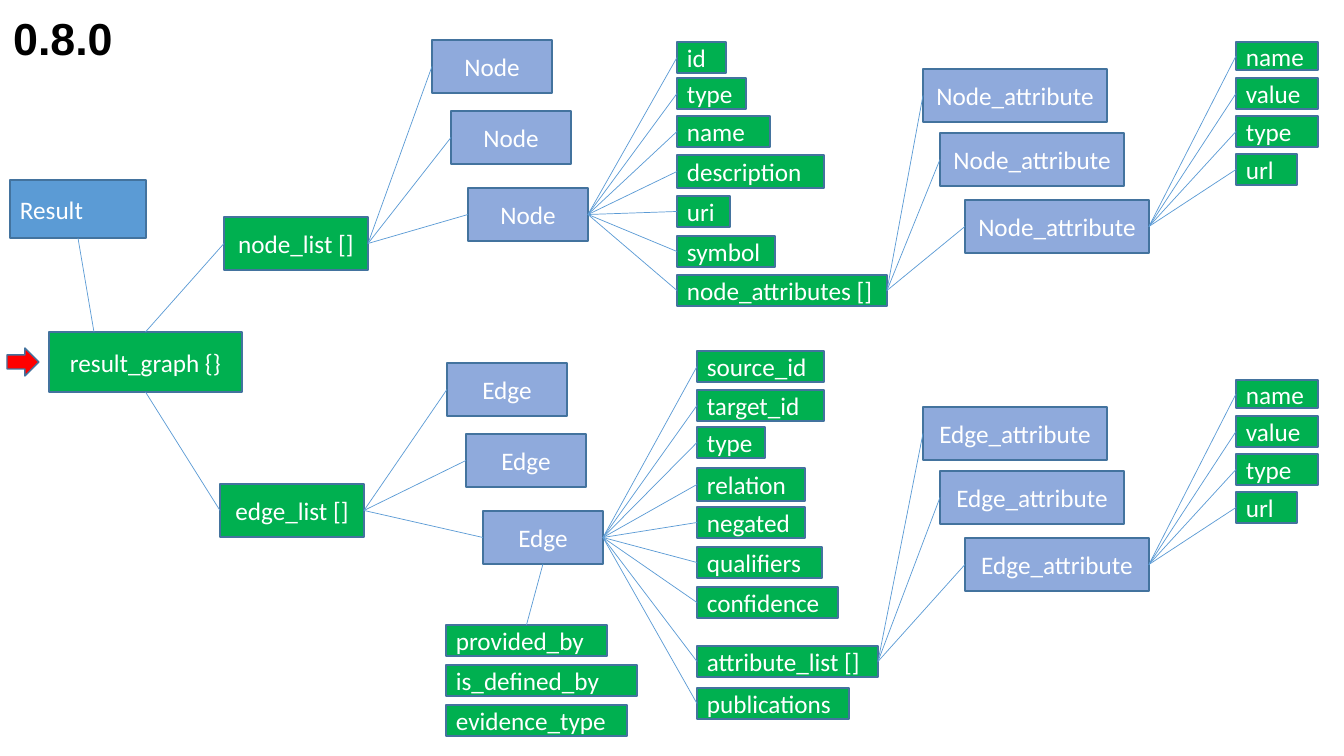
from pptx import Presentation
from pptx import util as u
from pptx.dml.color import RGBColor
from pptx.enum import shapes, text
from lxml import etree
from pptx.oxml import ns

PX = 914400 / 100.8
BLUE = RGBColor(0x5B, 0x9B, 0xD5)
EDGE = RGBColor(0x43, 0x73, 0x9E)
GREEN = RGBColor(0x00, 0xB0, 0x50)
PALE = RGBColor(0x8F, 0xAA, 0xDC)
RED = RGBColor(0xFF, 0x00, 0x00)
WHITE = RGBColor(0xFF, 0xFF, 0xFF)
BLACK = RGBColor(0x00, 0x00, 0x00)
LEFT, MID = text.PP_ALIGN.LEFT, text.PP_ALIGN.CENTER
TOP, WEST, BASE, EAST = range(4)

deck = Presentation()
deck.slide_width, deck.slide_height = round(1344 * PX), round(756 * PX)
slide = deck.slides.add_slide(deck.slide_layouts[5])


def box(words, x, y, w, h, fill=GREEN, align=LEFT, kind=shapes.MSO_SHAPE.RECTANGLE):
    shape = slide.shapes.add_shape(kind, *[round(n * PX) for n in (x, y, w, h)])
    shape.shadow.inherit = False
    shape.fill.solid()
    shape.fill.fore_color.rgb = fill
    shape.line.color.rgb = EDGE
    shape.line.width = u.Pt(1)
    if words:
        shape.text_frame.text = words
        para = shape.text_frame.paragraphs[0]
        para.alignment = align
        para.font.name = "Calibri"
        para.font.size = u.Pt(18)
        para.font.color.rgb = WHITE
    return shape


def link(start, end, out=EAST, into=WEST):
    line = slide.shapes.add_connector(shapes.MSO_CONNECTOR.STRAIGHT, 0, 0, 0, 0)
    line.begin_connect(start, out)
    line.end_connect(end, into)
    line.line.color.rgb = BLUE
    line.line.width = u.Pt(0.5)
    etree.SubElement(line._element.spPr, ns.qn("a:effectLst"))
    return line


title = slide.shapes.title
title.left, title.top, title.width, title.height = [round(n * PX) for n in (3, 6, 121, 65)]
frame = title.text_frame
frame.text = "0.8.0"
frame.word_wrap = False
frame.vertical_anchor = text.MSO_ANCHOR.TOP
para = frame.paragraphs[0]
para.alignment = LEFT
para.font.name = "Arial"
para.font.size = u.Pt(32)
para.font.bold = True
para.font.color.rgb = BLACK

root = box("Result", 10, 180, 136, 58, BLUE)
graph = box("result_graph {}", 49, 332, 193, 60, align=MID)
stem = link(root, graph, BASE, TOP)
stem.end_x = round(94 * PX)
box(None, 7, 348, 32, 28, RED, kind=shapes.MSO_SHAPE.RIGHT_ARROW)

node_rows = [("id", 42, 49, 31), ("type", 78, 69, 31), ("name", 116, 93, 31),
             ("description", 155, 147, 33), ("uri", 196, 53, 31),
             ("symbol", 236, 98, 31), ("node_attributes []", 275, 210, 31)]
edge_rows = [("source_id", 351, 127, 31), ("target_id", 390, 127, 31),
             ("type", 427, 68, 31), ("relation", 468, 108, 33),
             ("negated", 507, 108, 31), ("qualifiers", 547, 125, 31),
             ("confidence", 587, 141, 31), ("attribute_list []", 646, 181, 31),
             ("publications", 688, 152, 31)]
attr_rows = [("name", 42, 82, 28), ("value", 78, 82, 31),
             ("type", 116, 82, 31), ("url", 154, 61, 31)]

halves = [("Node", "node_list []", 224, 217, TOP, 0, 0, 677, node_rows, 0),
          ("Edge", "edge_list []", 220, 484, BASE, 15, 323, 697, edge_rows, 338)]
for name, label, lx, ly, side, dx, dy, col, rows, drop in halves:
    hub = box(label, lx, ly, 144, 53, align=MID)
    link(graph, hub, side)
    for x, y in [(432, 40), (451, 111), (468, 188)]:
        item = box(name, x + dx, y + dy, 120, 53, PALE, MID)
        link(hub, item)
    for words, y, w, h in rows:
        field = box(words, col, y, w, h)
        link(item, field)
        if words.endswith("[]"):
            store = field
    for x, y in [(923, 69), (940, 133), (965, 200)]:
        attr = box(name + "_attribute", x, y + drop, 184, 53, PALE, MID)
        link(store, attr)
    for words, y, w, h in attr_rows:
        link(attr, box(words, 1236, y + drop, w, h))

origin = [box(words, 446, 625 + 40 * row, w, 31) for row, (words, w) in enumerate(
    [("provided_by", 161), ("is_defined_by", 191), ("evidence_type", 181)])]
link(item, origin[0], BASE, TOP)

deck.save("out.pptx")
